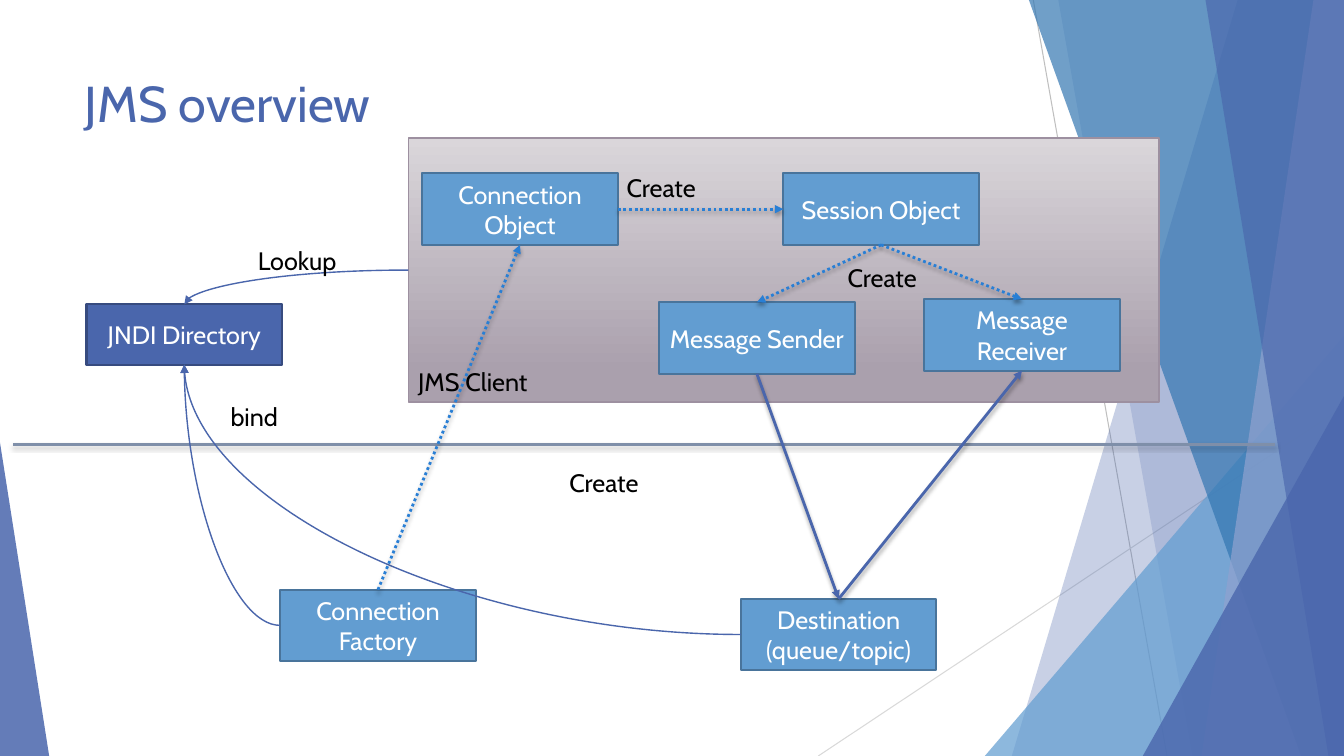
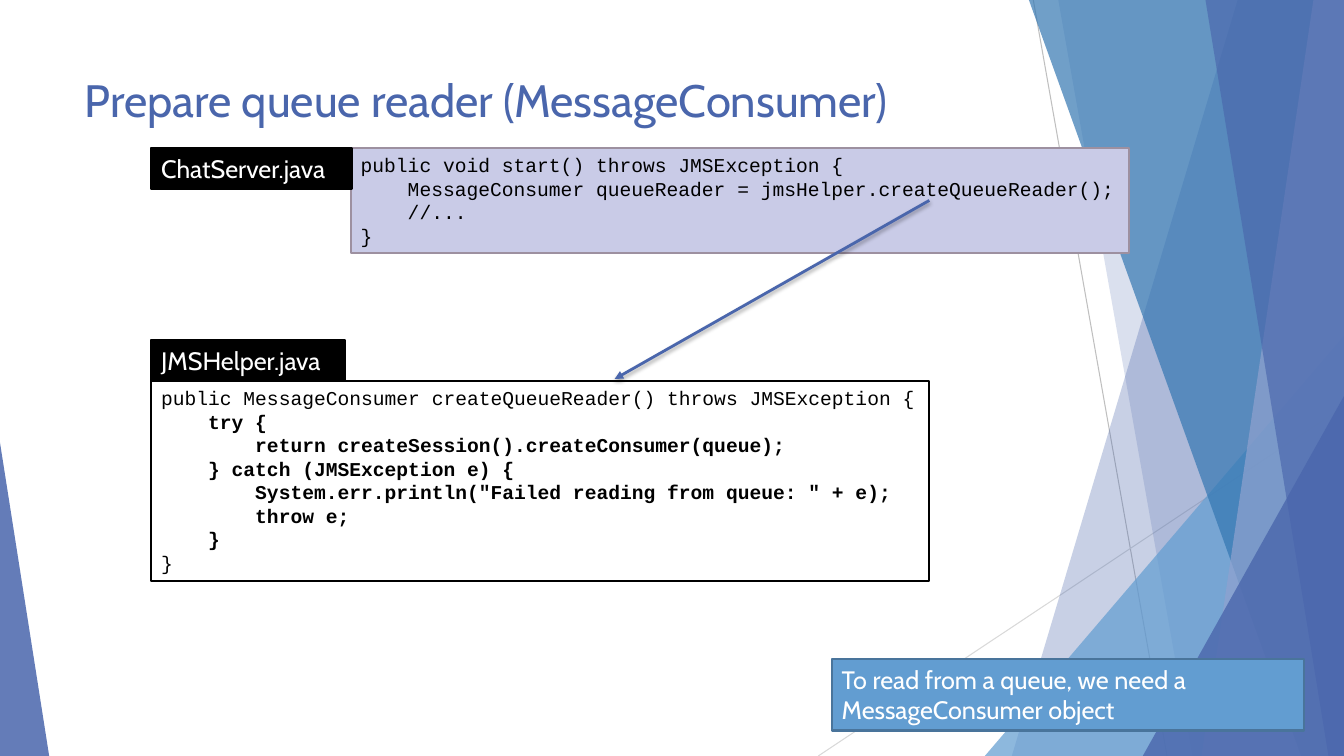
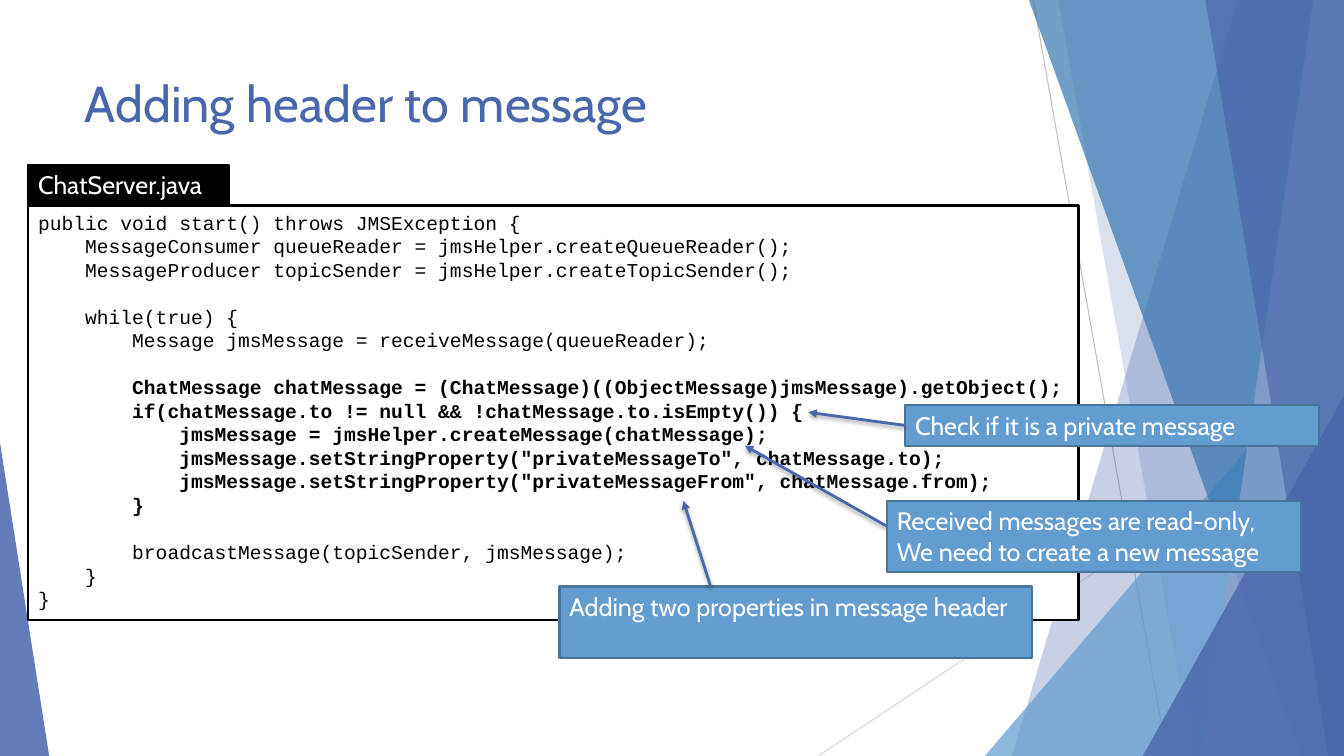
import pptx
import pptx.dml.color
import pptx.enum.dml
import pptx.enum.shapes
import pptx.enum.text
import pptx.oxml
import pptx.oxml.ns
import pptx.util

Cm = pptx.util.Cm
Pt = pptx.util.Pt
SHAPE = pptx.enum.shapes.MSO_SHAPE
CONNECTOR = pptx.enum.shapes.MSO_CONNECTOR
ANCHOR = pptx.enum.text.MSO_ANCHOR
ALIGN = pptx.enum.text.PP_ALIGN
DASH = pptx.enum.dml.MSO_LINE

WIDTH, HEIGHT = 33.87, 19.05
BODY_FONT, CODE_FONT = "Cabin", "Courier New"
INDIGO, INDIGO_EDGE = "4A66AC", "374B7F"
SKY, SKY_EDGE = "629DD1", "49749B"
BLUE, BRIGHT, PERIWINKLE = "3477B2", "297FD5", "90A2CF"
SLATE, LAVENDER, MAUVE = "7F8FA9", "C9CBE7", "9D90A0"
BLACK, WHITE = "000000", "FFFFFF"

NODE_SIZE = (4.93, 1.8)
TAB_HEIGHT = 1.03
TOP, LEFT, BOTTOM = 0, 1, 2  # connection sites of a rectangle

START_SHORT = """\
public void start() throws JMSException {
    MessageConsumer queueReader = jmsHelper.createQueueReader();
    //...
}"""

CREATE_READER = """\
public MessageConsumer createQueueReader() throws JMSException {
    try {
        return createSession().createConsumer(queue);
    } catch (JMSException e) {
        System.err.println("Failed reading from queue: " + e);
        throw e;
    }
}"""

START_FULL = """\
public void start() throws JMSException {
    MessageConsumer queueReader = jmsHelper.createQueueReader();
    MessageProducer topicSender = jmsHelper.createTopicSender();
    
    while(true) {
        Message jmsMessage = receiveMessage(queueReader);
        
        ChatMessage chatMessage = (ChatMessage)((ObjectMessage)jmsMessage).getObject();
        if(chatMessage.to != null && !chatMessage.to.isEmpty()) {
            jmsMessage = jmsHelper.createMessage(chatMessage);
            jmsMessage.setStringProperty("privateMessageTo", chatMessage.to);
            jmsMessage.setStringProperty("privateMessageFrom", chatMessage.from);
        }
        
        broadcastMessage(topicSender, jmsMessage);
    }
}"""


def rgb(value):
    return pptx.dml.color.RGBColor.from_string(value)


def add_xml(parent, markup):
    """Append DrawingML markup, given without namespace declarations."""
    tag, rest = markup[:-1].split(" ", 1) if " " in markup else (markup[:-2], ">")
    namespace = pptx.oxml.ns.nsdecls("a")
    parent.append(pptx.oxml.parse_xml(f"{tag} {namespace} {rest.rstrip('>')}>"
                                      if rest != ">" else f"{tag} {namespace}/>"))


def paint(shape, fill, alpha=100, edge=None, edge_width=1.5):
    shape.shadow.inherit = False
    shape.fill.solid()
    shape.fill.fore_color.rgb = rgb(fill)
    if alpha < 100:
        color = shape.fill._xPr.find(".//" + pptx.oxml.ns.qn("a:srgbClr"))
        add_xml(color, f'<a:alpha val="{alpha * 1000}"/>')
    if edge:
        shape.line.color.rgb = rgb(edge)
        shape.line.width = Pt(edge_width)
    else:
        shape.line.fill.background()


def write(shape, lines, size=18, color=BLACK, font=BODY_FONT, align=ALIGN.LEFT,
          anchor=ANCHOR.TOP, wrap=True, bold_lines=()):
    frame = shape.text_frame
    frame.word_wrap = wrap
    frame.vertical_anchor = anchor
    for number, line in enumerate(lines):
        paragraph = frame.paragraphs[0] if number == 0 else frame.add_paragraph()
        paragraph.text = line
        paragraph.alignment = align
        paragraph.font.name = font
        paragraph.font.size = Pt(size)
        paragraph.font.bold = number in bold_lines
        paragraph.font.color.rgb = rgb(color)


def add_rect(slide, box, fill, edge, edge_width=1.5):
    rect = slide.shapes.add_shape(SHAPE.RECTANGLE, *map(Cm, box))
    paint(rect, fill, edge=edge, edge_width=edge_width)
    return rect


def add_line(slide, start, end, color, width, kind=CONNECTOR.STRAIGHT,
             dash=None, arrow=True, shadow=True):
    """Draw a line; each end is an (x, y) point or a (shape, site) pair."""
    glued = hasattr(start[0], "shape_id")
    ends = (0, 0, 0, 0) if glued else map(Cm, (*start, *end))
    line = slide.shapes.add_connector(kind, *ends)
    if glued:
        line.begin_connect(*start)
        line.end_connect(*end)
    line.line.color.rgb = rgb(color)
    line.line.width = Pt(width)
    if dash:
        line.line.dash_style = dash
    properties = line.element.spPr
    if kind == CONNECTOR.CURVE:
        properties.prstGeom.set("prst", "curvedConnector2")
    if arrow:
        add_xml(line.line._get_or_add_ln(), '<a:tailEnd type="triangle"/>')
    add_xml(properties, "<a:effectLst/>")
    if shadow:
        add_xml(properties[-1],
                f'<a:outerShdw blurRad="{Pt(3)}" dist="{Pt(2)}" dir="5400000" '
                'rotWithShape="0"><a:srgbClr val="000000"><a:alpha val="35000"/>'
                '</a:srgbClr></a:outerShdw>')
    return line


def add_band(slide, top_x, bottom_x, color, alpha):
    """Slanted band that reaches from its left edge to the right side of the slide."""
    outline = slide.shapes.build_freeform(Cm(top_x), Cm(0))
    outline.add_line_segments([(Cm(x), Cm(y)) for x, y in (
        (WIDTH, 0), (WIDTH, HEIGHT), (bottom_x, HEIGHT))])
    band = outline.convert_to_shape()
    paint(band, color, alpha)
    return band


def add_corner(slide, left, top, width, apex, color, alpha):
    """Triangle standing on the bottom edge of the slide."""
    corner = slide.shapes.add_shape(SHAPE.ISOSCELES_TRIANGLE, Cm(left), Cm(top),
                                    Cm(width), Cm(HEIGHT - top))
    corner.adjustments[0] = apex
    paint(corner, color, alpha)
    return corner


def decorate_layout(layout, slide):
    """Draw the facets on a slide, then move them to the back of its layout."""
    facets = [
        add_line(slide, (26.04, 0), (29.41, HEIGHT), "BFBFBF", 0.75,
                 arrow=False, shadow=False),
        add_line(slide, (WIDTH, 10.24), (20.62, HEIGHT), "D9D9D9", 0.75,
                 arrow=False, shadow=False),
        add_band(slide, 31.19, 25.5, INDIGO, 30),
        add_band(slide, 26.67, 30.05, INDIGO, 20),
        add_corner(slide, 24.82, 8.46, 9.05, 1, SKY, 72),
        add_band(slide, 25.93, 32.79, BLUE, 70),
        add_band(slide, 33.1, 30.28, PERIWINKLE, 70),
        add_band(slide, 30.38, 33.48, INDIGO, 65),
        add_corner(slide, 28.8, 9.98, 5.07, 1, INDIGO, 80),
        add_corner(slide, 0, 11.15, 1.24, 0, INDIGO, 85),
    ]
    for number, facet in enumerate(facets):
        facet.element.xpath(".//p:cNvPr")[0].set("id", str(100 + number))
        layout.shapes.element.insert(2 + number, facet.element)


def set_title(slide, text, size=36):
    title = slide.shapes.title
    title.left, title.top, title.width, title.height = map(Cm, (1.88, 1.7, 23.88, 2.03))
    write(title, [text], size, INDIGO)
    title.text_frame.auto_size = pptx.enum.text.MSO_AUTO_SIZE.NONE


def add_node(slide, left, top, text, size=NODE_SIZE, fill=SKY, edge=SKY_EDGE):
    node = add_rect(slide, (left, top, *size), fill, edge)
    write(node, [text], color=WHITE, align=ALIGN.CENTER, anchor=ANCHOR.MIDDLE)
    return node


def add_label(slide, left, top, width, text):
    label = slide.shapes.add_textbox(Cm(left), Cm(top), Cm(width), Cm(1.02))
    write(label, [text], wrap=False)


def add_client(slide, left, top, width, height):
    """Client panel with its four objects; returns the panel and the objects."""
    panel = add_rect(slide, (left, top, width, height), MAUVE, MAUVE, 1)
    panel.fill.gradient()
    panel.fill.gradient_angle = 270
    for stop, (position, color) in zip(panel.fill.gradient_stops,
                                       ((0, "DAD6DA"), (0.88, "AAA0AD"))):
        stop.position = position
        stop.color.rgb = rgb(color)
    write(panel, ["JMS Client"], anchor=ANCHOR.BOTTOM)
    objects = [add_node(slide, left + dx, top + dy, text) for dx, dy, text in (
        (0.35, 0.89, "Connection Object"),
        (9.45, 0.89, "Session Object"),
        (6.32, 4.14, "Message Sender"),
        (13, 4.06, "Message Receiver"))]
    return panel, *objects


def add_code(slide, box, code, fill=WHITE, edge=BLACK, bold_lines=()):
    panel = add_rect(slide, box, fill, edge)
    write(panel, code.split("\n"), 14, font=CODE_FONT, wrap=False, bold_lines=bold_lines)


def add_file_tab(slide, left, top, width, file_name):
    tab = add_rect(slide, (left, top, width, TAB_HEIGHT), BLACK, BLACK)
    write(tab, [file_name], color=WHITE, wrap=False)


def add_callout(slide, box, *lines):
    write(add_rect(slide, box, SKY, SKY_EDGE), lines, color=WHITE)


def build_overview(slide):
    set_title(slide, "JMS overview")
    client, connection, session, sender, receiver = add_client(
        slide, 10.29, 3.48, 18.92, 6.65)
    directory = add_node(slide, 2.18, 7.67, "JNDI Directory", (4.93, 1.52),
                         INDIGO, INDIGO_EDGE)
    factory = add_node(slide, 7.06, 14.86, "Connection Factory")
    destination = add_node(slide, 18.67, 15.09, "Destination (queue/topic)")

    add_line(slide, (0.33, 11.2), (32.13, 11.2), SLATE, 2, arrow=False)
    for source, site in ((factory, BOTTOM), (destination, BOTTOM), (client, TOP)):
        add_line(slide, (source, LEFT), (directory, site), INDIGO, 1,
                 CONNECTOR.CURVE, shadow=False)
    right = 3
    for start, end in (((factory, TOP), (connection, BOTTOM)),
                       ((connection, right), (session, LEFT)),
                       ((session, BOTTOM), (sender, TOP)),
                       ((session, BOTTOM), (receiver, TOP))):
        add_line(slide, start, end, BRIGHT, 2, dash=DASH.ROUND_DOT)
    add_line(slide, (sender, BOTTOM), (destination, TOP), INDIGO, 2)
    add_line(slide, (destination, TOP), (receiver, BOTTOM), INDIGO, 2)

    add_label(slide, 5.56, 9.98, 1.75, "bind")
    add_label(slide, 6.25, 6.05, 2.57, "Lookup")
    for left, top in ((14.1, 11.66), (15.54, 4.22), (21.11, 6.48)):
        add_label(slide, left, top, 2.44, "Create")


def build_queue_reader(slide):
    set_title(slide, "Prepare queue reader (MessageConsumer)", 32.4)
    add_code(slide, (8.84, 3.73, 19.61, 2.64), START_SHORT, LAVENDER, MAUVE)
    add_file_tab(slide, 3.81, 3.73, 5.05, "ChatServer.java")
    add_code(slide, (3.81, 9.6, 19.61, 5.05), CREATE_READER, bold_lines=range(1, 7))
    add_file_tab(slide, 3.81, 9.6 - TAB_HEIGHT, 4.88, "JMSHelper.java")
    add_line(slide, (23.42, 5.05), (15.49, 9.55), INDIGO, 2)
    add_callout(slide, (20.96, 16.61, 11.91, 1.8),
                "To read from a queue, we need a MessageConsumer object")


def build_message_header(slide):
    set_title(slide, "Adding header to message")
    add_code(slide, (0.71, 5.18, 26.47, 10.44), START_FULL, bold_lines=range(6, 14))
    add_file_tab(slide, 0.71, 5.18 - TAB_HEIGHT, 5.05, "ChatServer.java")
    add_line(slide, (22.35, 13.26), (18.77, 11.23), INDIGO, 2)
    add_callout(slide, (22.35, 12.62, 10.44, 1.8),
                "Received messages are read-only,", "We need to create a new message")
    add_callout(slide, (14.1, 14.78, 11.91, 1.8),
                "Adding two properties in message header")
    add_line(slide, (17.91, 14.78), (17.22, 12.62), INDIGO, 2)
    add_callout(slide, (22.81, 10.21, 10.44, 1.02), "Check if it is a private message")
    add_line(slide, (22.81, 10.72), (20.37, 10.39), INDIGO, 2)


def main():
    deck = pptx.Presentation()
    deck.slide_width, deck.slide_height = Cm(WIDTH), Cm(HEIGHT)
    title_only = deck.slide_layouts[5]
    builders = (build_overview, build_queue_reader, build_message_header)
    slides = [deck.slides.add_slide(title_only) for _ in builders]
    decorate_layout(title_only, slides[0])
    for build, slide in zip(builders, slides):
        build(slide)
    deck.save("out.pptx")


if __name__ == "__main__":
    main()
